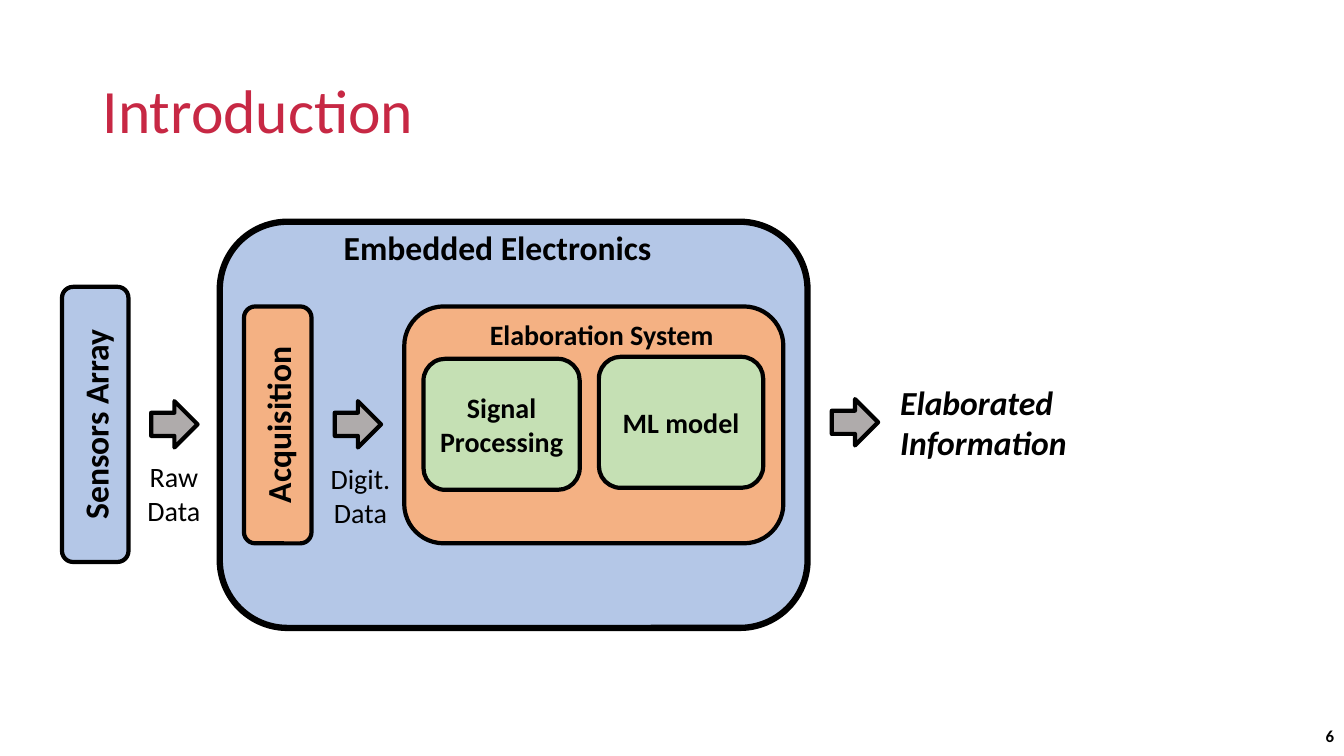
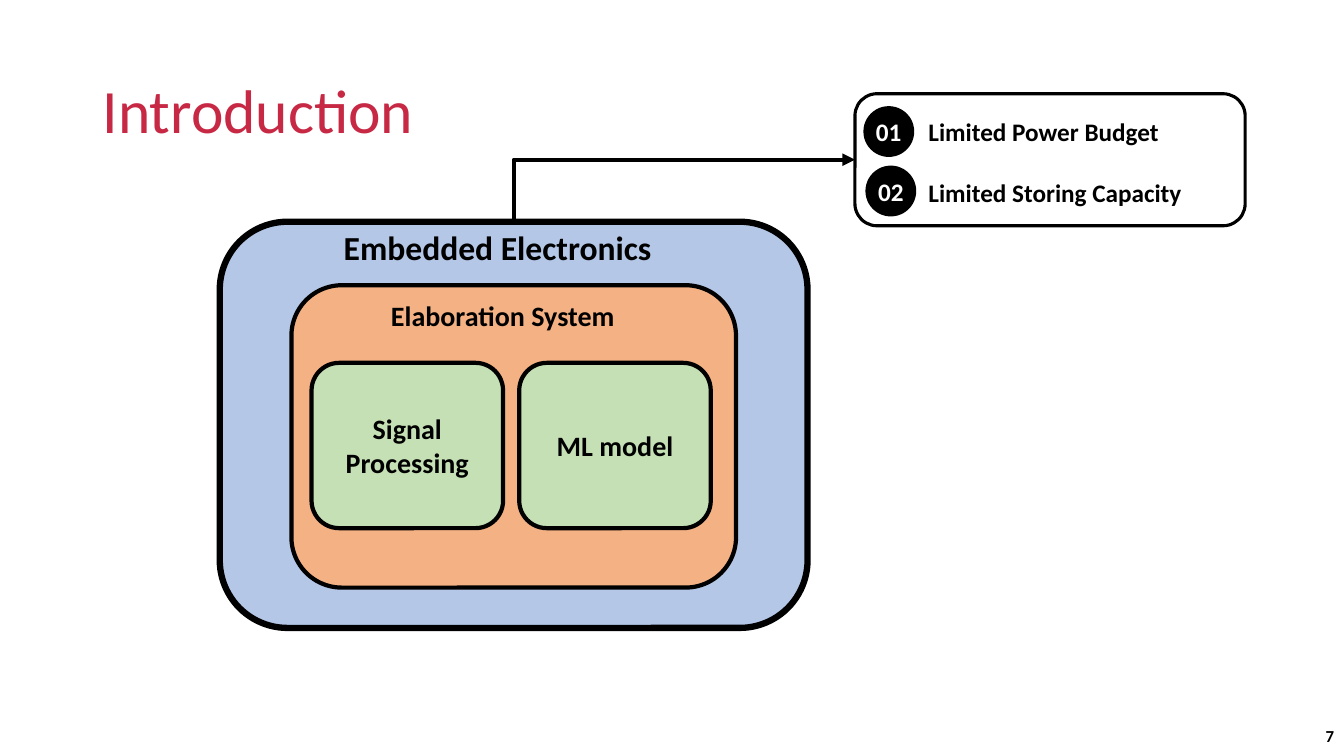
from lxml import etree
from pptx import Presentation
from pptx.dml.color import RGBColor
from pptx.enum.shapes import MSO_CONNECTOR, MSO_SHAPE
from pptx.enum.text import MSO_ANCHOR, PP_ALIGN
from pptx.oxml.ns import qn
from pptx.util import Inches, Pt

ROUNDED = MSO_SHAPE.ROUNDED_RECTANGLE
ARROW = MSO_SHAPE.RIGHT_ARROW
CIRCLE = MSO_SHAPE.OVAL
ELBOW = MSO_CONNECTOR.ELBOW
LEFT, CENTER, RIGHT = PP_ALIGN.LEFT, PP_ALIGN.CENTER, PP_ALIGN.RIGHT
TOP, MIDDLE = MSO_ANCHOR.TOP, MSO_ANCHOR.MIDDLE

FONT = "Calibri"
COLORS = {
    "title": "C72844",
    "ink": "000000",
    "paper": "FFFFFF",
    "blue": "B4C7E7",
    "orange": "F4B183",
    "green": "C5E0B4",
    "gray": "AFABAB",
}
ARROW_SIZE = 0.46
BADGE_SIZE = 0.49


def color(name):
    return RGBColor.from_string(COLORS[name])


def write(shape, lines, size, ink="ink", bold=True, italic=False,
          align=CENTER, anchor=MIDDLE, gap=0):
    """Write one paragraph per line, with gap points between paragraphs."""
    frame = shape.text_frame
    frame.word_wrap = True
    frame.vertical_anchor = anchor
    frame.text = "\n".join(lines)
    for index, paragraph in enumerate(frame.paragraphs):
        paragraph.alignment = align
        paragraph.space_before = Pt(gap if index else 0)
        font = paragraph.font
        font.name, font.size = FONT, Pt(size)
        font.bold, font.italic = bold, italic
        font.color.rgb = color(ink)


def add_text(slide, box, lines, size, **style):
    shape = slide.shapes.add_textbox(*map(Inches, box))
    write(shape, lines, size, **{"align": LEFT, "anchor": TOP, **style})
    return shape


def add_box(slide, box, fill, kind=ROUNDED, line_width=3.0):
    """Add an outlined preset shape; a fill of None leaves it open."""
    shape = slide.shapes.add_shape(kind, *map(Inches, box))
    shape.shadow.inherit = False
    if fill:
        shape.fill.solid()
        shape.fill.fore_color.rgb = color(fill)
    else:
        shape.fill.background()
    shape.line.color.rgb = color("ink")
    shape.line.width = Pt(line_width)
    return shape


def add_block(slide, box, fill, lines, size=20, rotation=0):
    block = add_box(slide, box, fill)
    block.rotation = rotation
    write(block, lines, size)


def add_flow_arrow(slide, left, top):
    add_box(slide, (left, top, ARROW_SIZE, ARROW_SIZE), "gray", ARROW)


def add_badge(slide, left, top, number):
    badge = add_box(slide, (left, top, BADGE_SIZE, BADGE_SIZE), "ink", CIRCLE, 1)
    frame = badge.text_frame
    frame.margin_left = frame.margin_right = 0
    frame.margin_top = frame.margin_bottom = 0
    write(badge, [number], 18, ink="paper")


def add_corner_arrow(slide, source, target):
    """Join the top of source to the left of target with a single bend."""
    connector = slide.shapes.add_connector(ELBOW, 0, 0, 0, 0)
    connector.begin_connect(source, 0)
    connector.end_connect(target, 1)
    connector.line.color.rgb = color("ink")
    connector.line.width = Pt(3)

    start_x, start_y = source.left + source.width // 2, source.top
    end_x, end_y = target.left, target.top + target.height // 2
    # A quarter turn swaps the sides of the frame around its centre.
    width, height = start_y - end_y, end_x - start_x
    connector.left = (start_x + end_x - width) // 2
    connector.top = (start_y + end_y - height) // 2
    connector.width, connector.height = width, height

    properties = connector._element.spPr
    frame = properties.find(qn("a:xfrm"))
    for name, value in (("rot", "5400000"), ("flipH", "1"), ("flipV", "1")):
        frame.set(name, value)
    properties.find(qn("a:prstGeom")).set("prst", "bentConnector2")
    etree.SubElement(properties.find(qn("a:ln")), qn("a:tailEnd"), type="triangle")
    etree.SubElement(properties, qn("a:effectLst"))


def add_base_slide(presentation, number):
    """Add the title, number and electronics panel that all slides share."""
    slide = presentation.slides.add_slide(presentation.slide_layouts[6])
    title = add_text(slide, (0.92, 0.4, 11.5, 1.45), ["Introduction"], 44,
                     ink="title", bold=False, anchor=MIDDLE)
    title.text_frame.paragraphs[0].line_spacing = 0.9
    add_text(slide, (10.33, 7.1, 3, 0.4), [str(number)], 12,
             align=RIGHT, anchor=MIDDLE)
    panel = add_box(slide, (2.18, 2.2, 5.83, 4.03), "blue", line_width=4.5)
    add_text(slide, (3.31, 2.2, 3.58, 0.5), ["Embedded Electronics"], 24)
    return slide, panel


def add_elaboration_system(slide, box, label_box, signal_box, model_box):
    add_box(slide, box, "orange")
    add_text(slide, label_box, ["Elaboration System"], 20)
    add_block(slide, signal_box, "green", ["Signal", "Processing"])
    add_block(slide, model_box, "green", ["ML model"])


def build_pipeline_slide(presentation):
    slide, _ = add_base_slide(presentation, 6)
    add_block(slide, (-0.42, 3.88, 2.73, 0.66), "blue", ["Sensors Array"], 24, 270)
    add_block(slide, (1.58, 3.88, 2.35, 0.67), "orange", ["Acquisition"], 24, 270)
    add_elaboration_system(slide, (4.01, 3.04, 3.76, 2.35), (4.76, 3.1, 2.59, 0.48),
                           (4.2, 3.56, 1.55, 1.3), (5.94, 3.54, 1.63, 1.3))
    for left, top in ((1.5, 3.98), (3.32, 3.98), (8.25, 3.96)):
        add_flow_arrow(slide, left, top)
    for box, label in (((1.22, 4.51, 1.01, 0.77), "Raw Data"),
                       ((2.98, 4.53, 1.19, 0.77), "Digit. Data")):
        add_text(slide, box, [label], 20, bold=False, align=CENTER)
    add_text(slide, (8.83, 3.74, 1.96, 0.91), ["Elaborated Information"], 24,
             italic=True)


def build_limits_slide(presentation):
    slide, panel = add_base_slide(presentation, 7)
    add_elaboration_system(slide, (2.89, 2.83, 4.41, 3), (3.78, 2.91, 3.03, 0.61),
                           (3.09, 3.6, 1.9, 1.64), (5.15, 3.6, 1.9, 1.64))
    card = add_box(slide, (8.48, 0.93, 3.87, 1.31), None, line_width=2.25)
    add_text(slide, (9.11, 1.1, 3.2, 1.01),
             ["Limited Power Budget", "Limited Storing Capacity"], 18, gap=22)
    add_badge(slide, 8.57, 1.06, "01")
    add_badge(slide, 8.59, 1.65, "02")
    add_corner_arrow(slide, panel, card)


def main():
    presentation = Presentation()
    presentation.slide_width = Inches(13.33)
    presentation.slide_height = Inches(7.5)
    build_pipeline_slide(presentation)
    build_limits_slide(presentation)
    presentation.save("out.pptx")


if __name__ == "__main__":
    main()
